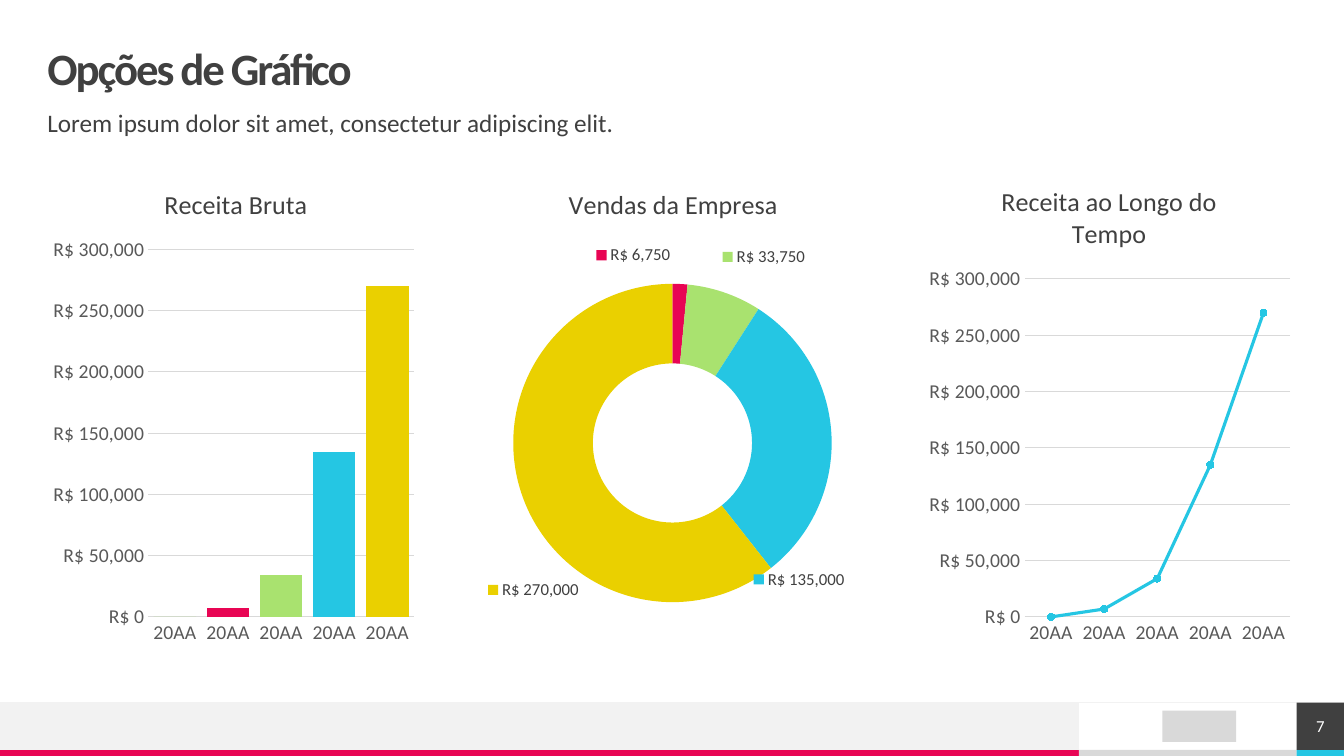
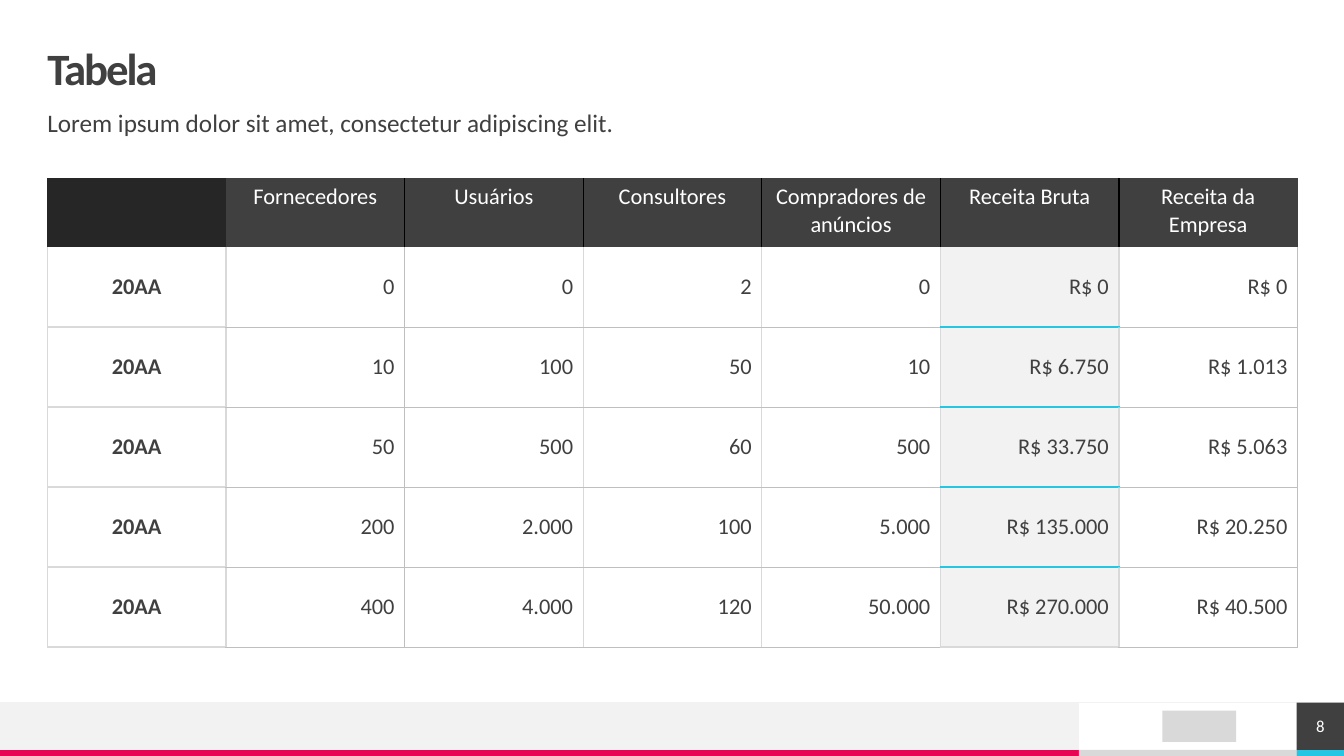
import copy

import lxml.etree
import pptx
import pptx.chart.data
import pptx.dml.color
import pptx.enum.chart
import pptx.enum.shapes
import pptx.enum.text
import pptx.oxml.ns
import pptx.util

Inches = pptx.util.Inches
Pt = pptx.util.Pt
qn = pptx.oxml.ns.qn
ALIGN = pptx.enum.text.PP_ALIGN
ANCHOR = pptx.enum.text.MSO_ANCHOR
CHART = pptx.enum.chart.XL_CHART_TYPE

FONT = "Calibri"
DARK = "404040"
BLACK = "262626"
WHITE = "FFFFFF"
PALE = "F2F2F2"
SILVER = "BFBFBF"
GRID = "D9D9D9"
AXIS_TEXT = "595959"
PINK = "E80554"
GREEN = "A9E26F"
CYAN = "25C6E3"
YELLOW = "EAD000"
CURRENCY = '"R$"\\ #,##0'
NO_STYLE_TABLE = "{2D5ABB26-0587-4C30-8999-92F81FD0307C}"

MARGIN = 0.47
CONTENT_WIDTH = 12.4
SLIDE_WIDTH = 13.33
BAND_TOP = 6.97
STRIPE_TOP = 7.44
BAND_RIGHT = 10.7
NUMBER_LEFT = 12.86
CHART_TOP, CHART_WIDTH, CHART_HEIGHT = 1.65, 3.71, 4.86


def color(value):
    return pptx.dml.color.RGBColor.from_string(value)


def fill(target, value):
    target.fill.solid()
    target.fill.fore_color.rgb = color(value)


def style_font(font, size, value, bold=False):
    font.name = FONT
    font.size = Pt(size)
    font.bold = bold
    font.color.rgb = color(value)


def style_runs(paragraph, size, value, bold=False, spacing=0):
    for run in paragraph.runs:
        style_font(run.font, size, value, bold)
        if spacing:
            run.font._element.set("spc", str(int(spacing * 100)))


def clear_margins(frame):
    frame.margin_left = frame.margin_right = frame.margin_top = frame.margin_bottom = 0


def set_layout(element, index, inner=False, **fractions):
    for previous in element.findall(qn("c:layout")):
        element.remove(previous)
    layout = lxml.etree.Element(qn("c:layout"))
    manual = lxml.etree.SubElement(layout, qn("c:manualLayout"))
    settings = {"layoutTarget": "inner"} if inner else {}
    if inner or element.tag == qn("c:title"):
        settings.update(xMode="edge", yMode="edge")
    settings.update(fractions)
    for name, value in settings.items():
        lxml.etree.SubElement(manual, qn("c:" + name)).set("val", str(value))
    element.insert(index, layout)


def set_borders(cell, borders):
    properties = cell._tc.get_or_add_tcPr()
    for index, (side, border) in enumerate(zip(("L", "R", "T", "B"), borders)):
        line = lxml.etree.Element(qn("a:ln" + side))
        if border:
            value, width = border
            line.set("w", str(Pt(width)))
            solid = lxml.etree.SubElement(line, qn("a:solidFill"))
            lxml.etree.SubElement(solid, qn("a:srgbClr")).set("val", value)
        else:
            lxml.etree.SubElement(line, qn("a:noFill"))
        properties.insert(index, line)


class Deck:
    def __init__(self):
        self.presentation = pptx.Presentation()
        self.presentation.slide_width = Inches(SLIDE_WIDTH)
        self.presentation.slide_height = Inches(7.5)
        self.slide = None

    def start_slide(self, title, subtitle, number):
        self.slide = self.presentation.slides.add_slide(self.presentation.slide_layouts[6])
        self.footer(number)
        heading = self.text(MARGIN, 0.47, CONTENT_WIDTH, 0.47, title, 32, DARK, True, -1.5)
        heading.vertical_anchor = ANCHOR.MIDDLE
        heading.paragraphs[0].line_spacing = 0.9
        body = self.text(MARGIN, 1.1, CONTENT_WIDTH, 0.39, subtitle, 18, DARK)
        body.paragraphs[0].line_spacing = 0.9

    def text(self, left, top, width, height, content, size, value, bold=False, spacing=0):
        box = self.slide.shapes.add_textbox(Inches(left), Inches(top), Inches(width), Inches(height))
        frame = box.text_frame
        frame.word_wrap = True
        clear_margins(frame)
        frame.text = content
        style_runs(frame.paragraphs[0], size, value, bold, spacing)
        return frame

    def rectangle(self, left, top, width, height, value):
        shape = self.slide.shapes.add_shape(
            pptx.enum.shapes.MSO_SHAPE.RECTANGLE,
            Inches(left), Inches(top), Inches(width), Inches(height))
        shape.shadow.inherit = False
        fill(shape, value)
        shape.line.fill.background()
        return shape

    def line(self, left, right, top, value, width):
        connector = self.slide.shapes.add_connector(
            pptx.enum.shapes.MSO_CONNECTOR.STRAIGHT,
            Inches(left), Inches(top), Inches(right), Inches(top))
        connector.line.color.rgb = color(value)
        connector.line.width = Pt(width)
        lxml.etree.SubElement(connector._element.spPr, qn("a:effectLst"))

    def footer(self, number):
        edges = (0, BAND_RIGHT, NUMBER_LEFT, SLIDE_WIDTH)
        for left, right, value in zip(edges, edges[1:], (PINK, GRID, CYAN)):
            self.rectangle(left, STRIPE_TOP, right - left, 0.06, value)
        self.rectangle(0, BAND_TOP, BAND_RIGHT, 0.47, PALE)
        self.line(0, SLIDE_WIDTH, BAND_TOP, PALE, 0.5)
        self.rectangle(11.53, 7.05, 0.73, 0.31, GRID)
        badge = self.rectangle(NUMBER_LEFT, BAND_TOP, 0.47, 0.47, DARK)
        frame = badge.text_frame
        clear_margins(frame)
        frame.text = str(number)
        frame.vertical_anchor = ANCHOR.MIDDLE
        frame.paragraphs[0].alignment = ALIGN.CENTER
        style_runs(frame.paragraphs[0], 12, WHITE)

    def chart(self, kind, left, title, title_place, plot_place, categories, values):
        data = pptx.chart.data.CategoryChartData(number_format=CURRENCY)
        data.categories = categories
        data.add_series("Series 1", values)
        chart = self.slide.shapes.add_chart(
            kind, Inches(left), Inches(CHART_TOP), Inches(CHART_WIDTH), Inches(CHART_HEIGHT),
            data).chart
        style_font(chart.font, 10, "000000")
        chart.has_legend = False
        chart.has_title = True
        chart.chart_title.text_frame.text = title
        for paragraph in chart.chart_title.text_frame.paragraphs:
            style_runs(paragraph, 18.6, DARK)
        chart.chart_title.include_in_layout = False
        set_layout(chart.chart_title._element, 1, x=title_place[0], y=title_place[1])
        x, y, width, height = plot_place
        set_layout(chart._chartSpace.chart.plotArea, 0, True, x=x, y=y, w=width, h=height)
        return chart

    def axes(self, chart):
        for axis in (chart.category_axis, chart.value_axis):
            axis.major_tick_mark = axis.minor_tick_mark = pptx.enum.chart.XL_TICK_MARK.NONE
            style_font(axis.tick_labels.font, 14, AXIS_TEXT)
        chart.category_axis.format.line.color.rgb = color(GRID)
        chart.category_axis.format.line.width = Pt(0.75)
        axis = chart.value_axis
        axis.format.line.fill.background()
        axis.minimum_scale, axis.maximum_scale, axis.major_unit = 0, 300000, 50000
        axis.major_gridlines.format.line.color.rgb = color(GRID)
        axis.major_gridlines.format.line.width = Pt(0.75)
        axis.tick_labels.number_format = CURRENCY
        axis.tick_labels.number_format_is_linked = False

    def color_points(self, chart, values, vary):
        chart.plots[0].vary_by_categories = vary
        for index, value in enumerate(values):
            fill(chart.plots[0].series[0].points[index].format, value)

    def ring_labels(self, series, offsets):
        labels = series.data_labels
        labels.number_format = CURRENCY
        labels.number_format_is_linked = False
        style_font(labels.font, 12, DARK)
        labels.show_value = True
        labels.show_legend_key = True
        element = labels._element
        for leader in element.findall(qn("c:showLeaderLines")):
            element.remove(leader)
        shared = list(element)
        lxml.etree.SubElement(element, qn("c:showLeaderLines")).set("val", "0")
        for index, offset in enumerate(offsets):
            label = lxml.etree.Element(qn("c:dLbl"))
            lxml.etree.SubElement(label, qn("c:idx")).set("val", str(index))
            if offset:
                label.extend(copy.deepcopy(shared))
                set_layout(label, 1, x=offset[0], y=offset[1])
            else:
                lxml.etree.SubElement(label, qn("c:delete")).set("val", "1")
            element.insert(index, label)

    def table(self, top, height, header, rows, header_height, accent_column):
        columns = len(header)
        table = self.slide.shapes.add_table(
            len(rows) + 1, columns, Inches(MARGIN), Inches(top), Inches(CONTENT_WIDTH),
            Inches(height)).table
        table._tbl.tblPr.find(qn("a:tableStyleId")).text = NO_STYLE_TABLE
        for column in table.columns:
            column.width = Inches(CONTENT_WIDTH / columns)
        for row in table.rows:
            row.height = Inches((height - header_height) / len(rows))
        table.rows[0].height = Inches(header_height)

        thin, light, accent, black = (SILVER, 0.25), (GRID, 1), (CYAN, 1), ("000000", 1)
        sides = [thin if edge in (2, columns) else light for edge in range(columns + 1)]
        dividers = [black if 1 < edge < columns else None for edge in range(columns + 1)]
        for row, texts in enumerate([header] + rows):
            for column, content in enumerate(texts):
                cell = table.cell(row, column)
                cell.text = content
                paragraph = cell.text_frame.paragraphs[0]
                first = column == 0
                paragraph.alignment = ALIGN.CENTER if first or row == 0 else ALIGN.RIGHT
                style_runs(paragraph, 16, DARK if row else WHITE, bold=first)
                if row == 0:
                    fill(cell, BLACK if first else DARK)
                    set_borders(cell, (dividers[column], dividers[column + 1], None, None))
                    continue
                cell.vertical_anchor = ANCHOR.MIDDLE
                rule = light if first else accent if column == accent_column else thin
                above = rule if row > 1 else None
                below = light if rule == accent and row == len(rows) else rule
                fill(cell, PALE if column == accent_column else WHITE)
                set_borders(cell, (sides[column], sides[column + 1], above, below))


def build_charts(deck, subtitle):
    deck.start_slide("Opções de Gráfico", subtitle, 7)
    step = (CONTENT_WIDTH - CHART_WIDTH) / 2
    lefts = [MARGIN + step * index for index in range(3)]
    years = ["20AA"] * 5
    revenue = (0, 7000, 34000, 135000, 270000)
    point_colors = (GREEN, PINK, GREEN, CYAN, YELLOW)

    bars = deck.chart(CHART.COLUMN_CLUSTERED, lefts[0], "Receita Bruta", (0.3, 0.03),
                      (0.27, 0.17, 0.71, 0.75), years, revenue)
    deck.axes(bars)
    bars.plots[0].gap_width = 25
    deck.color_points(bars, point_colors, False)

    ring = deck.chart(CHART.DOUGHNUT, lefts[1], "Vendas da Empresa", (0.21, 0.03),
                      (0.07, 0.24, 0.86, 0.65), "12345", (0, 6750, 33750, 135000, 270000))
    deck.color_points(ring, point_colors, True)
    deck.ring_labels(ring.plots[0].series[0],
                     (None, (-0.12, -0.14), (0.14, -0.15), (0.02, 0.29), (-0.07, 0.22)))

    trend = deck.chart(CHART.LINE_MARKERS_STACKED, lefts[2], "Receita ao Longo do\nTempo",
                       (0.2, 0.03), (0.27, 0.23, 0.71, 0.69), years, revenue)
    deck.axes(trend)
    series = trend.plots[0].series[0]
    series.smooth = False
    series.format.line.color.rgb = color(CYAN)
    series.format.line.width = Pt(2.25)
    series.marker.style = pptx.enum.chart.XL_MARKER_STYLE.CIRCLE
    series.marker.size = 5
    fill(series.marker.format, CYAN)
    series.marker.format.line.color.rgb = color(CYAN)


def build_table(deck, subtitle):
    deck.start_slide("Tabela", subtitle, 8)
    header = ["", "Fornecedores", "Usuários", "Consultores", "Compradores de anúncios",
              "Receita Bruta", "Receita da Empresa"]
    rows = [
        ["20AA", "0", "0", "2", "0", "R$ 0", "R$ 0"],
        ["20AA", "10", "100", "50", "10", "R$ 6.750", "R$ 1.013"],
        ["20AA", "50", "500", "60", "500", "R$ 33.750", "R$ 5.063"],
        ["20AA", "200", "2.000", "100", "5.000", "R$ 135.000", "R$ 20.250"],
        ["20AA", "400", "4.000", "120", "50.000", "R$ 270.000", "R$ 40.500"],
    ]
    deck.table(1.77, 4.65, header, rows, 0.68, header.index("Receita Bruta"))


def main():
    deck = Deck()
    subtitle = "Lorem ipsum dolor sit amet, consectetur adipiscing elit."
    build_charts(deck, subtitle)
    build_table(deck, subtitle)
    deck.presentation.save("out.pptx")


if __name__ == "__main__":
    main()
